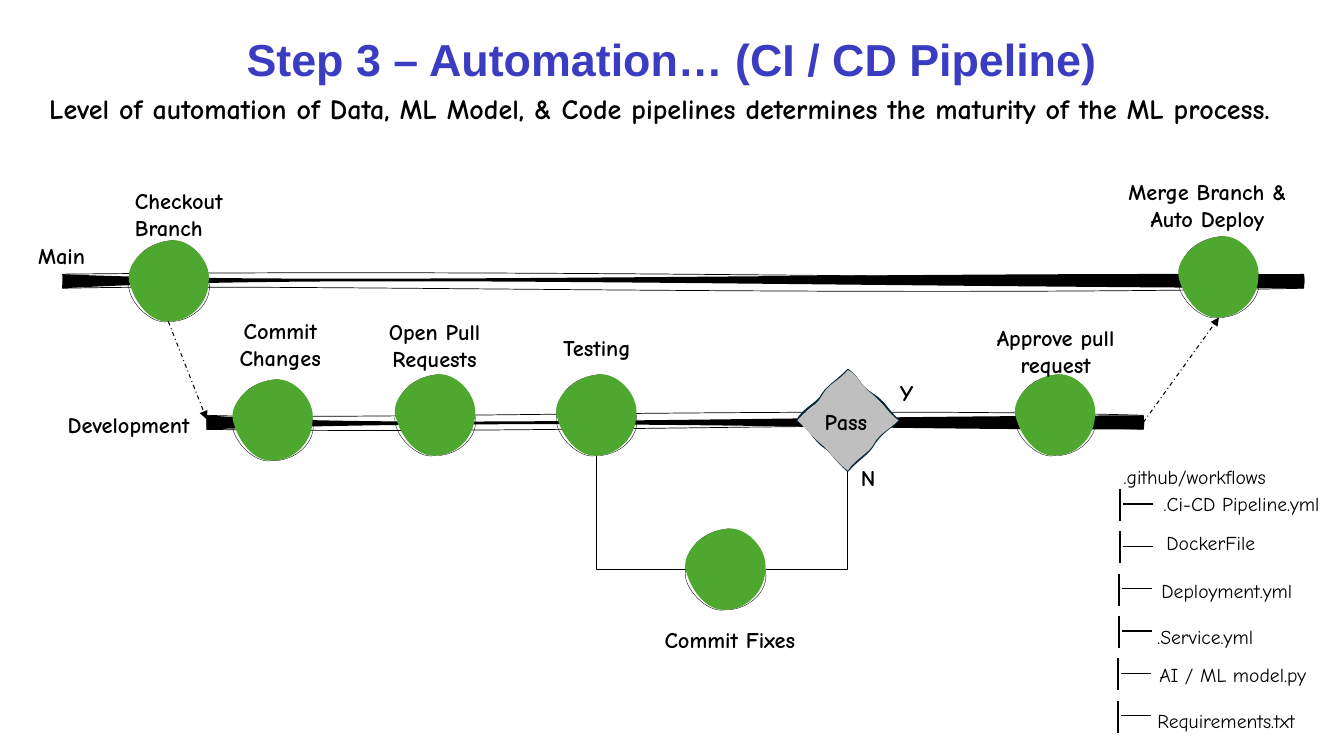
import pptx
import pptx.util
import pptx.dml.color
import pptx.enum.dml
import pptx.enum.shapes
import pptx.enum.text
import pptx.oxml.ns
from lxml import etree
from pptx.util import Inches

BLUE = pptx.dml.color.RGBColor(0x3A, 0x3D, 0xC2)
GREEN = pptx.dml.color.RGBColor(0x4E, 0xA7, 0x2E)
GRAY = pptx.dml.color.RGBColor(0xBF, 0xBF, 0xBF)
NAVY = pptx.dml.color.RGBColor(0x09, 0x2A, 0x39)
BLACK = pptx.dml.color.RGBColor(0, 0, 0)
LEFT, CENTER = pptx.enum.text.PP_ALIGN.LEFT, pptx.enum.text.PP_ALIGN.CENTER
STRAIGHT, ELBOW = pptx.enum.shapes.MSO_CONNECTOR.STRAIGHT, pptx.enum.shapes.MSO_CONNECTOR.ELBOW
qn = pptx.oxml.ns.qn

CIRCLE_FILL = [(0, .4), (-.04, .21), (.21, .01), (.39, 0), (.58, -.05), (.82, .19), (.79, .4),
               (.79, .59), (.63, .8), (.39, .8), (.21, .81), (.05, .61), (0, .4)]
CIRCLE_EDGE = [(0, .4), (.01, .2), (.14, .04), (.39, 0), (.56, -.03), (.74, .16), (.79, .4),
               (.84, .62), (.61, .81), (.39, .8), (.22, .84), (-.04, .58), (0, .4)]
DIAMOND_FILL = [(0, .5), (.11, .38), (.17, .38), (.24, .26), (.31, .13), (.39, .13), (.5, 0),
                (.59, .04), (.64, .17), (.74, .24), (.83, .31), (.89, .42), (1, .5),
                (.93, .58), (.81, .63), (.76, .73), (.71, .83), (.57, .88), (.5, 1),
                (.39, .92), (.33, .82), (.24, .74), (.14, .66), (.09, .59), (0, .5)]
DIAMOND_EDGE = [(0, .5), (.05, .39), (.21, .33), (.25, .24), (.3, .16), (.43, .08), (.5, 0),
                (.62, .09), (.61, .16), (.74, .24), (.88, .33), (.87, .38), (1, .5),
                (.94, .56), (.83, .62), (.76, .73), (.7, .84), (.6, .88), (.5, 1),
                (.38, .9), (.35, .82), (.26, .76), (.17, .7), (.11, .56), (0, .5)]
MAIN_FILL = [(0, .14), (2.5, 0), (6.22, .11), (12.31, .14), (12.32, .07), (12.32, .06), (12.31, 0),
             (7.64, -.02), (2.33, .11), (0, 0), (0, .05), (.01, .1), (0, .14)]
MAIN_EDGE = [(0, .14), (2.13, .09), (7.7, .23), (12.31, .14), (12.31, .12), (12.32, .02), (12.31, 0),
             (10.71, .1), (5.91, -.06), (0, 0), (.01, .01), (0, .07), (0, .14)]
DEV_FILL = [(0, 0), (1.69, .13), (5.02, .02), (9.29, 0), (9.3, .07), (9.3, .08), (9.29, .14),
            (6.33, .15), (3.54, .02), (0, .14), (-.01, .09), (0, .03), (0, 0)]
DEV_EDGE = [(0, 0), (1.26, .05), (6.1, -.09), (9.29, 0), (9.29, .02), (9.3, .11), (9.29, .14),
            (6.9, .04), (3.58, .19), (0, .14), (.01, .12), (0, .06), (0, 0)]


def add_curve(outlines, size, controls, **paint):
    """Append a closed chain of cubic curves to the outlines of a form."""
    outline = etree.SubElement(outlines, qn("a:path"), **size, **paint)
    for first in (0, *range(1, len(controls), 3)):
        command = etree.SubElement(outline, qn("a:cubicBezTo" if first else "a:moveTo"))
        for x, y in controls[first:first + 3] if first else controls[:1]:
            etree.SubElement(command, qn("a:pt"), x=str(Inches(x)), y=str(Inches(y)))
    etree.SubElement(outline, qn("a:close"))


def add_sketch(slide, left, top, fill_curve, edge_curve, color, edge_color, edge_width):
    """Draw a hand-sketched form: a loose outline under a filled body."""
    anchors = [(Inches(left + x), Inches(top + y)) for x, y in edge_curve[::3]]
    builder = slide.shapes.build_freeform(*anchors[0])
    builder.add_line_segments(anchors[1:], close=True)
    sketch = builder.convert_to_shape()
    sketch.shadow.inherit = False
    sketch.fill.solid()
    sketch.fill.fore_color.rgb = color
    sketch.line.color.rgb = edge_color
    sketch.line.width = pptx.util.Pt(edge_width)
    outlines = next(sketch._element.iter(qn("a:pathLst")))
    size = dict(outlines[0].attrib)
    outlines.remove(outlines[0])
    add_curve(outlines, size, edge_curve, fill="none")
    add_curve(outlines, size, fill_curve, stroke="0")


def add_stage(slide, left, top):
    """Draw one green stage circle."""
    add_sketch(slide, left, top, CIRCLE_FILL, CIRCLE_EDGE, GREEN, BLACK, .25)


def style_text(frame, text, size, bold, align, font="Comic Neue", color=BLACK):
    """Fill a text frame with one formatted paragraph."""
    frame.word_wrap = True
    frame.vertical_anchor = pptx.enum.text.MSO_ANCHOR.TOP
    frame.text = text
    paragraph = frame.paragraphs[0]
    paragraph.alignment = align
    run_font = paragraph.runs[0].font
    run_font.name, run_font.size, run_font.bold = font, pptx.util.Pt(size), bold
    run_font.color.rgb = color


def add_label(slide, text, left, top, width, height=.37, align=CENTER, size=16, bold=True):
    """Add a label in the handwritten font."""
    label = slide.shapes.add_textbox(Inches(left), Inches(top), Inches(width), Inches(height))
    style_text(label.text_frame, text, size, bold, align)


def add_link(shapes, start, end, kind=STRAIGHT, width=.75, arrow=False):
    """Add a black connector, dashed with an arrowhead if asked."""
    link = shapes.add_connector(kind, *(Inches(value) for value in (*start, *end)))
    link.line.color.rgb = BLACK
    link.line.width = pptx.util.Pt(width)
    properties = link._element.spPr
    if arrow:
        link.line.dash_style = pptx.enum.dml.MSO_LINE.DASH_DOT
        etree.SubElement(properties.find(qn("a:ln")), qn("a:tailEnd"), type="triangle")
    if kind == ELBOW:
        properties.find(qn("a:prstGeom")).set("prst", "bentConnector2")
    etree.SubElement(properties, qn("a:effectLst"))


def add_heading(slide, left, top, width):
    """Place the title and the statement under it."""
    title = slide.shapes.title
    title.left, title.top, title.width, title.height = map(Inches, (left, top, width, 1.45))
    style_text(title.text_frame, "Step 3 – Automation… (CI / CD Pipeline)", 32, True, CENTER, "Arial", BLUE)
    add_label(slide, "Level of automation of Data, ML Model, & Code pipelines determines "
              "the maturity of the ML process.", left + .11, top + .6, width, .44, LEFT, 20)


def add_branch(slide, left, top, fill_curve, edge_curve, stages, labels, decision=None):
    """Draw a branch bar with its stages, decision and labels."""
    add_sketch(slide, left, top, fill_curve, edge_curve, BLACK, BLACK, .5)
    for x, y in stages:
        add_stage(slide, left + x, top + y)
    if decision:
        add_sketch(slide, left + decision[0], top + decision[1],
                   DIAMOND_FILL, DIAMOND_EDGE, GRAY, NAVY, 1.5)
    for text, x, y, width, height, align in labels:
        add_label(slide, text, left + x, top + y, width, height, align)


def add_fix_loop(slide, left, top, width, height):
    """Draw the loop from the decision back to testing."""
    level = top + height
    add_link(slide.shapes, (left + .88, level), (left, top), ELBOW)
    add_link(slide.shapes, (left + 1.68, level), (left + width, top + .15), ELBOW)
    add_stage(slide, left + .88, level - .4)
    add_label(slide, "Commit Fixes", left + .44, level + .51, 1.76)


def add_file_tree(slide, left, top):
    """List the workflow files, each beside its tree mark."""
    add_label(slide, ".github/workflows", left, top, 1.76, .34, CENTER, 14, False)
    files = [(".Ci-CD Pipeline.yml", .35, .27, CENTER), ("DockerFile", .5, .66, LEFT),
             ("Deployment.yml", .45, 1.13, LEFT), (".Service.yml", .41, 1.59, LEFT),
             ("AI / ML model.py", .43, 1.97, LEFT), ("Requirements.txt", .41, 2.42, LEFT)]
    for row, (name, x, y, align) in enumerate(files):
        trunk, mark_top = left + .14 - .01 * (row // 2), top + .29 + .42 * row
        add_link(slide.shapes, (trunk, mark_top), (trunk, mark_top + .32), width=1)
        add_link(slide.shapes, (trunk + .33, mark_top + .15), (trunk + .03, mark_top + .15), width=1)
        add_label(slide, name, left + x, top + y, 1.99, .34, align, 14, False)


def main():
    """Build the slide and save it."""
    deck = pptx.Presentation()
    deck.slide_width, deck.slide_height = Inches(13.33), Inches(7.5)
    slide = deck.slides.add_slide(deck.slide_layouts[5])
    add_heading(slide, .28, .26, 12.77)
    add_branch(slide, .62, 2.72, MAIN_FILL, MAIN_EDGE, [(.66, -.33), (11.07, -.37)],
               [("Main", -.34, -.37, .79, .37, LEFT),
                ("Checkout Branch", .62, -.91, 1.66, .64, LEFT),
                ("Merge Branch & Auto Deploy", 10.25, -1, 2.21, .64, CENTER)])
    add_branch(slide, 2.05, 4.12, DEV_FILL, DEV_EDGE,
               [(.26, -.35), (1.87, -.4), (3.47, -.4), (8.02, -.4)],
               [("Development", -1.6, -.09, 1.65, .37, CENTER),
                ("Commit Changes", .18, -1.02, 1.1, .64, CENTER),
                ("Open Pull Requests", 1.53, -1.01, 1.46, .64, CENTER),
                ("Testing", 3.14, -.85, 1.46, .37, CENTER),
                ("Pass", 6.03, -.12, .8, .37, LEFT),
                ("Y", 6.78, -.41, .33, .37, LEFT),
                ("N", 6.39, .44, .54, .37, LEFT),
                ("Approve pull request", 7.62, -.95, 1.6, .64, CENTER)], (5.86, -.45))
    add_link(slide.shapes, (1.67, 3.19), (2.05, 4.16), arrow=True)
    add_link(slide.shapes, (11.34, 4.19), (12.09, 3.15), arrow=True)
    add_fix_loop(slide, 5.92, 4.52, 2.49, 1.13)
    add_file_tree(slide, 10.97, 4.56)
    deck.save("out.pptx")


if __name__ == "__main__":
    main()
